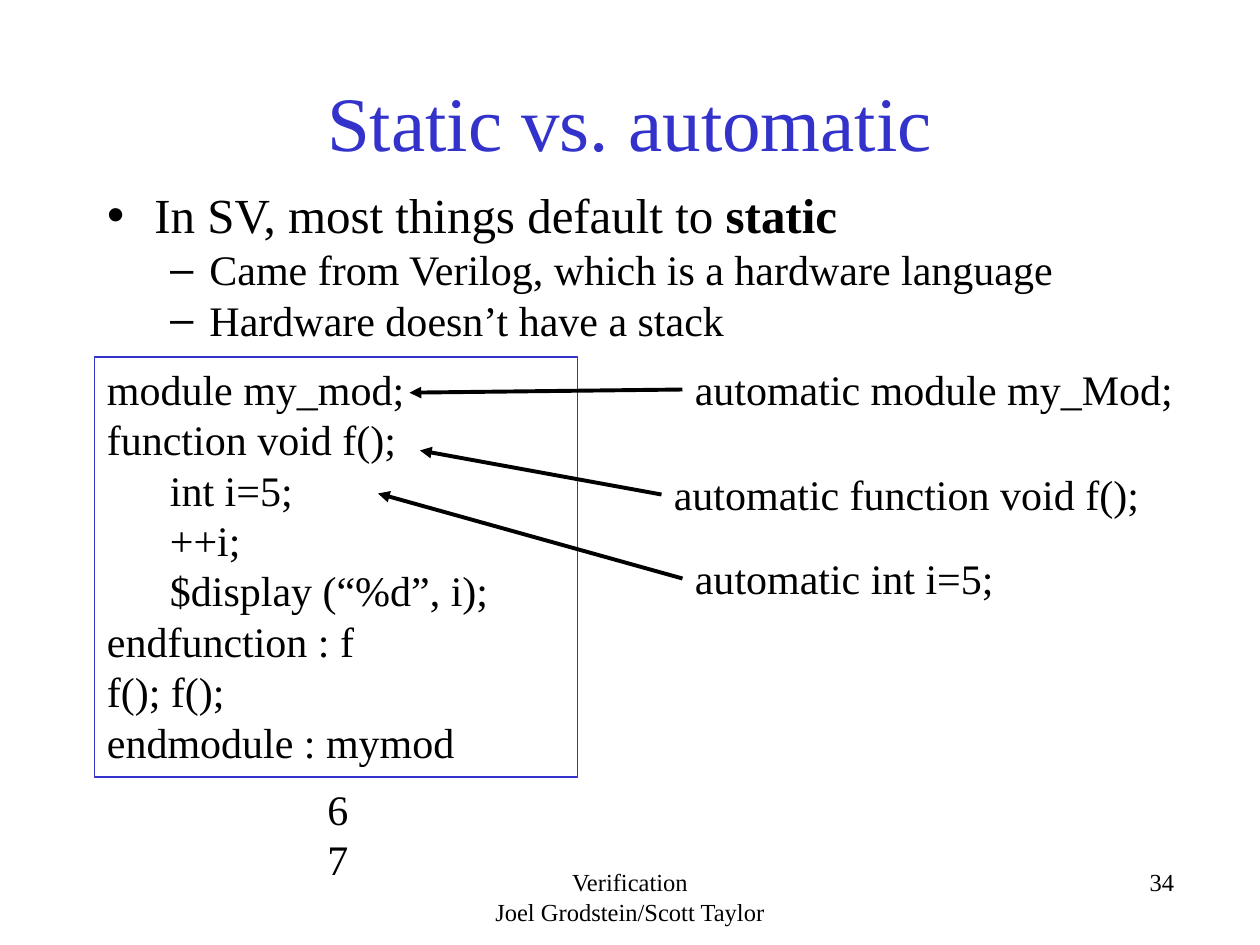
import pptx
import pptx.dml.color
import pptx.enum.shapes
import pptx.enum.text
import pptx.oxml
import pptx.oxml.ns
import pptx.util

ALIGN = pptx.enum.text.PP_ALIGN
ANCHOR = pptx.enum.text.MSO_ANCHOR
AUTO = pptx.enum.text.MSO_AUTO_SIZE
INK, BLUE = "000000", "3333CC"


def color(code):
    """Turn a hex string into a colour."""
    return pptx.dml.color.RGBColor.from_string(code)


def assign(target, values):
    """Set each named value on the target."""
    for name, value in values.items():
        setattr(target, name, value)


class LectureSlide:
    """Hold the lecture style and draw on a grid of 120 columns and 90 rows."""

    font = "Times New Roman"
    columns, rows = 120, 90

    def __init__(self, deck):
        """Add a title and body page to the deck."""
        self.column = deck.slide_width / self.columns
        self.row = deck.slide_height / self.rows
        self.page = deck.slides.add_slide(deck.slide_layouts[1])

    def place(self, left, top, width, height):
        """Convert grid cells to lengths."""
        sizes = (left * self.column, top * self.row, width * self.column, height * self.row)
        return [pptx.util.Emu(round(size)) for size in sizes]

    def typeset(self, box, lines, size=24, ink=INK, align=ALIGN.LEFT, anchor=ANCHOR.TOP):
        """Fill a box with lines, each a string or a list of (text, bold) spans."""
        frame = box.text_frame
        assign(frame, {"word_wrap": True, "auto_size": AUTO.NONE, "vertical_anchor": anchor})
        for index, line in enumerate(lines):
            para = frame.paragraphs[0] if index == 0 else frame.add_paragraph()
            para.alignment = align
            for text, bold in [(line, False)] if isinstance(line, str) else line:
                span = para.add_run()
                span.text = text
                assign(span.font, {"name": self.font, "size": pptx.util.Pt(size), "bold": bold})
                span.font.color.rgb = color(ink)
        return frame.paragraphs

    def move(self, box, cells):
        """Move a placeholder to grid cells."""
        assign(box, dict(zip(("left", "top", "width", "height"), self.place(*cells))))
        return box

    def title(self, cells, text):
        """Set the title placeholder."""
        box = self.move(self.page.shapes.title, cells)
        self.typeset(box, [text], 44, BLUE, ALIGN.CENTER, ANCHOR.MIDDLE)

    def bullets(self, cells, lead, details):
        """Set a leading bullet and its details in the body placeholder."""
        box = self.move(self.page.placeholders[1], cells)
        for para in self.typeset(box, [lead, *details])[1:]:
            assign(para, {"level": 1, "space_before": pptx.util.Pt(0)})
        for span in box.text_frame.paragraphs[0].runs:
            span.font.size = pptx.util.Pt(28)

    def text(self, cells, lines, **style):
        """Add a text box."""
        self.typeset(self.page.shapes.add_textbox(*self.place(*cells)), lines, **style)

    def code(self, cells, lines):
        """Add an outlined box of code."""
        kind = pptx.enum.shapes.MSO_SHAPE.RECTANGLE
        box = self.page.shapes.add_shape(kind, *self.place(*cells))
        box.shadow.inherit = False
        box.fill.background()
        box.line.color.rgb = color(BLUE)
        box.line.width = pptx.util.Pt(1)
        self.typeset(box, lines)

    def arrow(self, start, end):
        """Add an arrow between two grid points."""
        kind = pptx.enum.shapes.MSO_CONNECTOR.STRAIGHT
        line = self.page.shapes.add_connector(kind, *self.place(*start, *end))
        line.line.color.rgb = color(INK)
        line.line.width = pptx.util.Pt(2.25)
        names = pptx.oxml.ns.nsdecls("a")
        properties = line._element.spPr
        head = pptx.oxml.parse_xml(f'<a:tailEnd {names} type="triangle"/>')
        properties.get_or_add_ln().append(head)
        properties.append(pptx.oxml.parse_xml(f"<a:effectLst {names}/>"))


deck = pptx.Presentation()
assign(deck, {"slide_width": pptx.util.Inches(10), "slide_height": pptx.util.Inches(7.5)})
slide = LectureSlide(deck)

slide.title((9, 4, 102, 15), "Static vs. automatic")
slide.bullets(
    (9, 17, 102, 18),
    [("In SV, most things default to ", False), ("static", True)],
    ["Came from Verilog, which is a hardware language", "Hardware doesn’t have a stack"],
)
slide.code((9, 34, 46, 40), [
    "module my_mod;",
    "function void f();",
    "\tint i=5;",
    "\t++i;",
    "\t$display (“%d”, i);",
    "endfunction : f",
    "f(); f();",
    "endmodule : mymod",
])
slide.text((30, 74, 6, 11), ["6", "7"])

variants = [
    ("automatic module my_Mod;", 65, 34, 49, (39, 37.4)),
    ("automatic function void f();", 63, 44, 49, (40, 42.9)),
    ("automatic int i=5;", 65, 52, 32, (36, 47)),
]
for text, left, top, width, target in variants:
    slide.text((left, top, width, 6), [text])
    slide.arrow((left, top + 3.1), target)

slide.text((41, 82, 38, 6), ["Verification", "Joel Grodstein/Scott Taylor"], size=14, align=ALIGN.CENTER)
slide.text((75, 82, 38, 6), ["34"], size=14, align=ALIGN.RIGHT)

deck.save("out.pptx")
